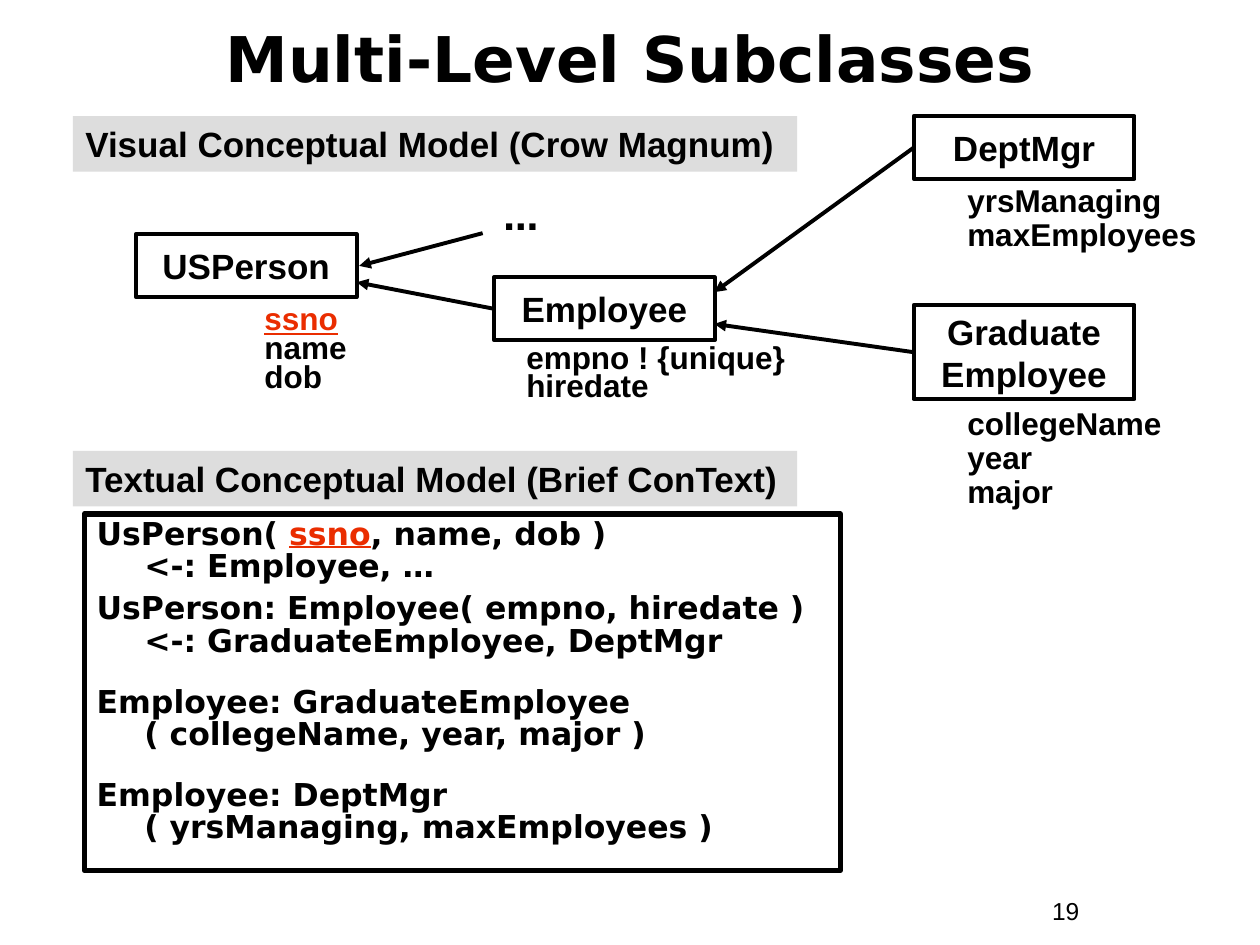
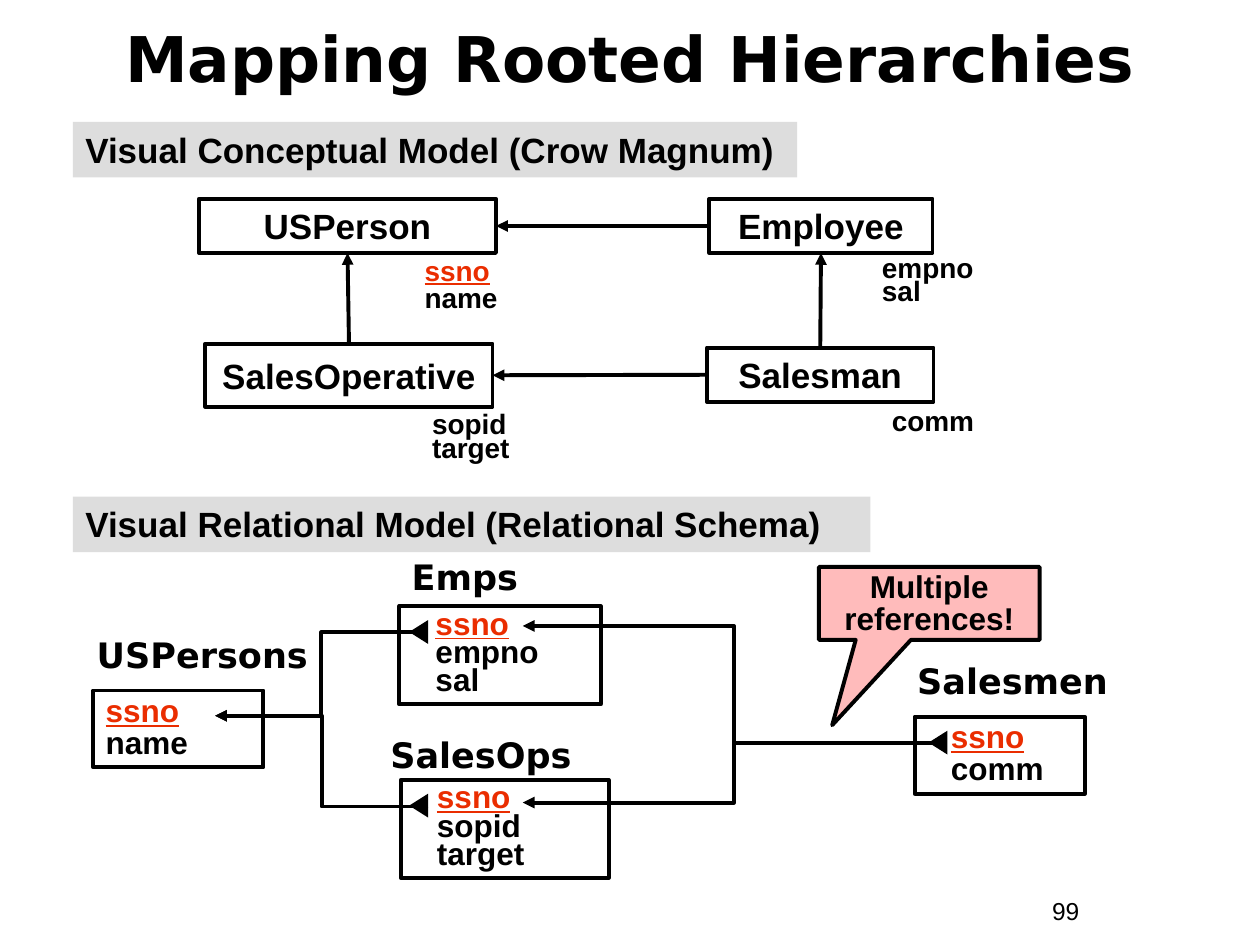
"""Build two slides on class hierarchies in conceptual and relational models."""
import pptx
import pptx.dml.color
import pptx.enum.shapes
import pptx.enum.text
import pptx.oxml.ns
import pptx.util
from lxml import etree

Cm = pptx.util.Cm
Pt = pptx.util.Pt
RGBColor = pptx.dml.color.RGBColor
SHAPE = pptx.enum.shapes.MSO_SHAPE
CONNECTOR = pptx.enum.shapes.MSO_CONNECTOR
ANCHOR = pptx.enum.text.MSO_ANCHOR
ALIGN = pptx.enum.text.PP_ALIGN
qn = pptx.oxml.ns.qn

BLACK = RGBColor(0x00, 0x00, 0x00)
KEY_RED = RGBColor(0xEA, 0x2D, 0x00)
BAND_GREY = RGBColor(0xDD, 0xDD, 0xDD)
CALLOUT_PINK = RGBColor(0xFF, 0xBB, 0xBB)
SANS = "Arial"
HEADING = "DejaVu Sans"
KEY = "ssno"
TOP, LEFT, BOTTOM, RIGHT = range(4)


def add_run(paragraph, text, size, font, bold, is_key):
    """Append a run, red and underlined if it names the key."""
    run = paragraph.add_run()
    run.text = text
    run.font.size = Pt(size)
    run.font.name = font
    run.font.bold = bold
    run.font.underline = is_key
    run.font.color.rgb = KEY_RED if is_key else BLACK


def write(holder, paragraphs, size=18, font=SANS, bold=True, align=ALIGN.LEFT,
          anchor=ANCHOR.TOP, wrap=True, spacing=1.0, first_spacing=None,
          gaps=(), margin=0, hanging=0):
    """Fill a shape with paragraphs, marking each mention of the key."""
    frame = holder.text_frame
    frame.word_wrap = wrap
    frame.auto_size = pptx.enum.text.MSO_AUTO_SIZE.NONE
    frame.vertical_anchor = anchor
    for index, content in enumerate(paragraphs):
        paragraph = frame.add_paragraph() if index else frame.paragraphs[0]
        properties = paragraph._p.get_or_add_pPr()
        properties.set("marL", str(Cm(margin)))
        properties.set("indent", str(-Cm(hanging)))
        paragraph.alignment = align
        paragraph.line_spacing = first_spacing if first_spacing and not index else spacing
        paragraph.space_before = Pt(gaps[index - 1] if index and gaps else 0)
        for line_index, line in enumerate(content.split("\n")):
            if line_index:
                paragraph.add_line_break()
            before, key, after = line.partition(KEY)
            for part in filter(None, (before, key, after)):
                add_run(paragraph, part, size, font, bold, part == KEY)


def add_block(slide, kind, left, top, width, height, fill=None, line=None):
    """Add a preset shape with the given fill and line width."""
    block = slide.shapes.add_shape(kind, Cm(left), Cm(top), Cm(width), Cm(height))
    block.shadow.inherit = False
    if fill is None:
        block.fill.background()
    else:
        block.fill.solid()
        block.fill.fore_color.rgb = fill
    if line is None:
        block.line.fill.background()
    else:
        block.line.color.rgb = BLACK
        block.line.width = Pt(line)
    return block


def add_label(slide, left, top, width, height, paragraphs, **style):
    """Add free-standing text."""
    label = slide.shapes.add_textbox(Cm(left), Cm(top), Cm(width), Cm(height))
    write(label, paragraphs, **style)


def add_entity(slide, name, left, top, width=4.45, height=1.27):
    """Add the outlined box of a class."""
    entity = add_block(slide, SHAPE.RECTANGLE, left, top, width, height, line=2.25)
    write(entity, [name], size=20, align=ALIGN.CENTER, anchor=ANCHOR.MIDDLE, wrap=False)
    return entity


def add_relation(slide, name, name_at, columns, left, top, width, height, **style):
    """Add a relation's box of columns with its name above."""
    relation = add_block(slide, SHAPE.RECTANGLE, left, top, width, height, line=2.25)
    write(relation, columns, **style)
    add_label(slide, *name_at, 6, 1.12, [name], size=20, font=HEADING)


def add_arrow(slide, start=(0, 0), end=(0, 0), kind=CONNECTOR.STRAIGHT,
              source=None, target=None):
    """Add an arrow between points or (shape, side) joints."""
    arrow = slide.shapes.add_connector(kind, *map(Cm, start + end))
    if source:
        arrow.begin_connect(*source)
    if target:
        arrow.end_connect(*target)
    arrow.line.color.rgb = BLACK
    arrow.line.width = Pt(2.25)
    etree.SubElement(arrow.line._get_or_add_ln(), qn("a:tailEnd"), type="triangle")
    etree.SubElement(arrow._element.spPr, qn("a:effectLst"))


def add_band(slide, text, top, width=14.6):
    """Add a grey section band."""
    band = add_block(slide, SHAPE.RECTANGLE, 1.47, top, width, 1.12, fill=BAND_GREY)
    write(band, [text], size=20)


def start_slide(deck, title, number):
    """Add a slide with its title and page number."""
    slide = deck.slides.add_slide(deck.slide_layouts[5])
    heading = slide.shapes.title
    heading.left, heading.top, heading.width, heading.height = map(Cm, (0.85, 0.2, 23.7, 1.9))
    write(heading, [title], size=36, font=HEADING, align=ALIGN.CENTER, anchor=ANCHOR.MIDDLE)
    add_label(slide, 20.96, 17.93, 2.34, 0.86, [number], size=14, bold=False)
    return slide


def build_subclasses(deck):
    """Build the slide on multi-level subclasses."""
    slide = start_slide(deck, "Multi-Level Subclasses", "19")
    add_band(slide, "Visual Conceptual Model (Crow Magnum)", 2.34)
    add_band(slide, "Textual Conceptual Model (Brief ConText)", 9.09)

    graduate = add_entity(slide, "Graduate\nEmployee", 18.42, 6.15, height=1.9)
    manager = add_entity(slide, "DeptMgr", 18.42, 2.34)
    employee = add_entity(slide, "Employee", 9.96, 5.59)
    add_entity(slide, "USPerson", 2.74, 4.72)
    for subclass, end in ((graduate, (14.4, 6.53)), (manager, (14.4, 5.89)),
                          (employee, (7.19, 5.69))):
        add_arrow(slide, end=end, source=(subclass, LEFT))
    add_arrow(slide, (9.73, 4.7), (7.24, 5.36))

    add_label(slide, 9.9, 3.94, 1.52, 0.99, ["…"], size=20, font=HEADING, spacing=0.85)
    add_label(slide, 10.36, 6.86, 6.35, 1.4, ["empno ! {unique}", "hiredate"], spacing=0.75)
    add_label(slide, 5.08, 5.99, 3.4, 2.08, ["ssno", "name", "dob"],
              spacing=0.75, first_spacing=0.9)
    add_label(slide, 19.25, 3.61, 5.28, 1.63, ["yrsManaging", "maxEmployees"], spacing=0.9)
    add_label(slide, 19.25, 8.1, 5.28, 2.31, ["collegeName", "year", "major"], spacing=0.9)

    model = add_block(slide, SHAPE.RECTANGLE, 1.7, 10.36, 15.24, 7.19, line=3)
    write(model, [
        "UsPerson( ssno, name, dob )\n<-: Employee, …",
        "UsPerson: Employee( empno, hiredate )\n<-: GraduateEmployee, DeptMgr",
        "Employee: GraduateEmployee\n( collegeName, year, major )",
        "Employee: DeptMgr\n( yrsManaging, maxEmployees )",
    ], font=HEADING, spacing=0.85, gaps=(5.6, 16.5, 16.5), margin=0.96, hanging=0.96)


def build_hierarchies(deck):
    """Build the slide on mapping rooted hierarchies."""
    slide = start_slide(deck, "Mapping Rooted Hierarchies", "99")
    add_band(slide, "Visual Conceptual Model (Crow Magnum)", 2.46)
    add_band(slide, "Visual Relational Model (Relational Schema)", 10.01, 16.08)

    person = add_entity(slide, "USPerson", 4.01, 4.01, 5.99, 1.09)
    employee = add_entity(slide, "Employee", 14.3, 4.01, 4.5, 1.09)
    operative = add_entity(slide, "SalesOperative", 4.14, 6.93, 5.79)
    salesman = add_entity(slide, "Salesman", 14.25, 7.01, 4.57, 1.09)
    for subclass, superclass in ((employee, person), (salesman, operative)):
        add_arrow(slide, source=(subclass, LEFT), target=(superclass, RIGHT))
    for subclass, superclass in ((operative, person), (salesman, employee)):
        add_arrow(slide, source=(subclass, TOP), target=(superclass, BOTTOM))

    for left, top, attributes, spacing in (
            (8.31, 5.11, ["ssno", "name"], 0.8),
            (17.53, 5.11, ["empno", "sal"], 0.7),
            (8.46, 8.26, ["sopid", "target"], 0.7),
            (17.73, 8.2, ["comm"], 0.7)):
        add_label(slide, left, top, 3.2, 1.3, attributes, size=16, spacing=spacing)

    add_relation(slide, "USPersons", (1.7, 12.65), ["ssno", "name"],
                 1.88, 13.92, 3.43, 1.55, spacing=0.85)
    add_relation(slide, "Emps", (8.05, 11.07), ["ssno", "empno", "sal"],
                 8.05, 12.22, 4.06, 1.98, spacing=0.75, margin=0.48)
    add_relation(slide, "SalesOps", (7.62, 14.66), ["ssno", "sopid", "target"],
                 8.08, 15.72, 4.19, 1.98, spacing=0.75, margin=0.48)
    add_relation(slide, "Salesmen", (18.24, 13.18), ["ssno", "comm"],
                 18.44, 14.45, 3.43, 1.55, spacing=0.85, margin=0.48)

    for foreign_key, referenced_key in (
            ((8.61, 12.75), (4.34, 14.43)), ((8.64, 16.26), (4.34, 14.43)),
            ((19.05, 14.97), (10.54, 12.62)), ((19.05, 14.97), (10.54, 16.18))):
        add_arrow(slide, foreign_key, referenced_key, CONNECTOR.ELBOW)
    for left, top in ((8.2, 12.55), (8.2, 16.05), (18.67, 14.78)):
        foot = add_block(slide, SHAPE.ISOSCELES_TRIANGLE, left, top, 0.48, 0.38, fill=BLACK)
        foot.rotation = 270

    remark = add_block(slide, SHAPE.RECTANGULAR_CALLOUT, 16.51, 11.43, 4.45, 1.47,
                       fill=CALLOUT_PINK, line=2.25)
    remark.adjustments[0] = -0.44
    remark.adjustments[1] = 1.67
    write(remark, ["Multiple references!"], align=ALIGN.CENTER, spacing=0.85)


def main():
    """Build and save the deck."""
    deck = pptx.Presentation()
    deck.slide_width, deck.slide_height = Cm(25.4), Cm(19.05)
    build_subclasses(deck)
    build_hierarchies(deck)
    deck.save("out.pptx")


if __name__ == "__main__":
    main()
